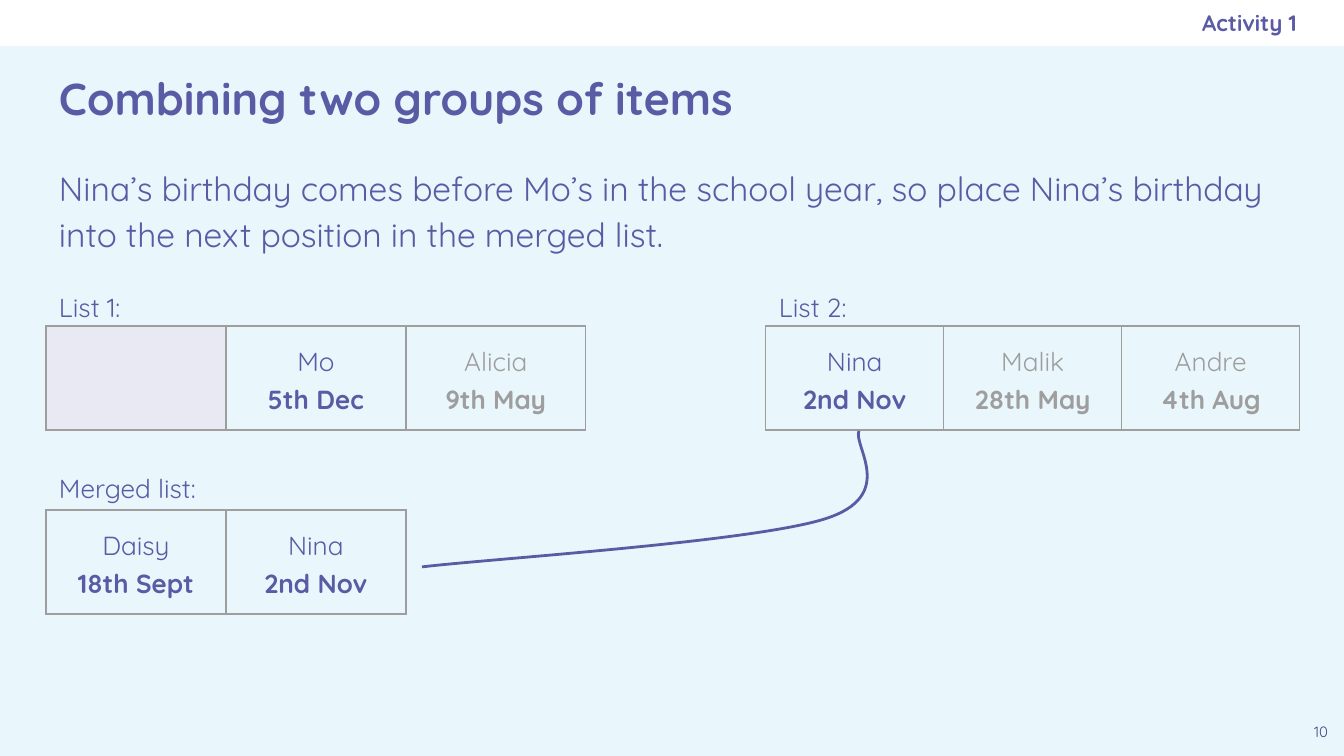
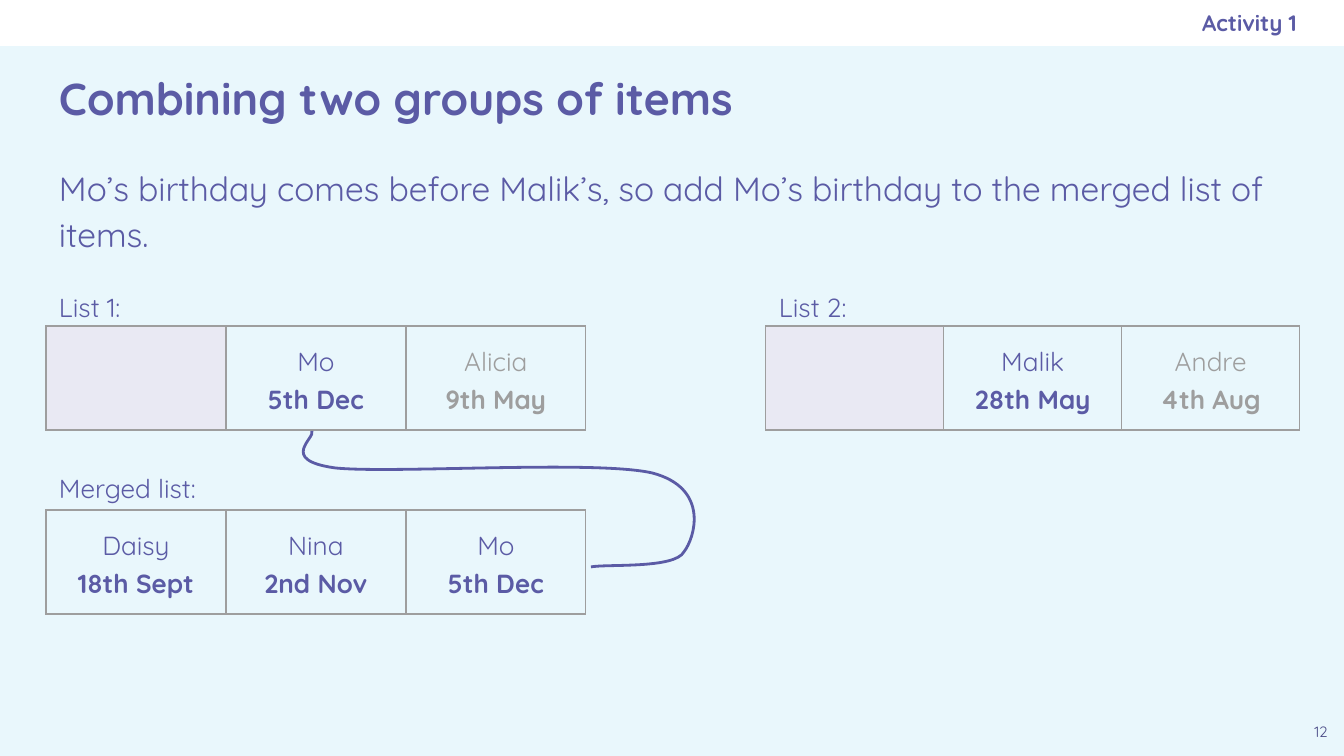
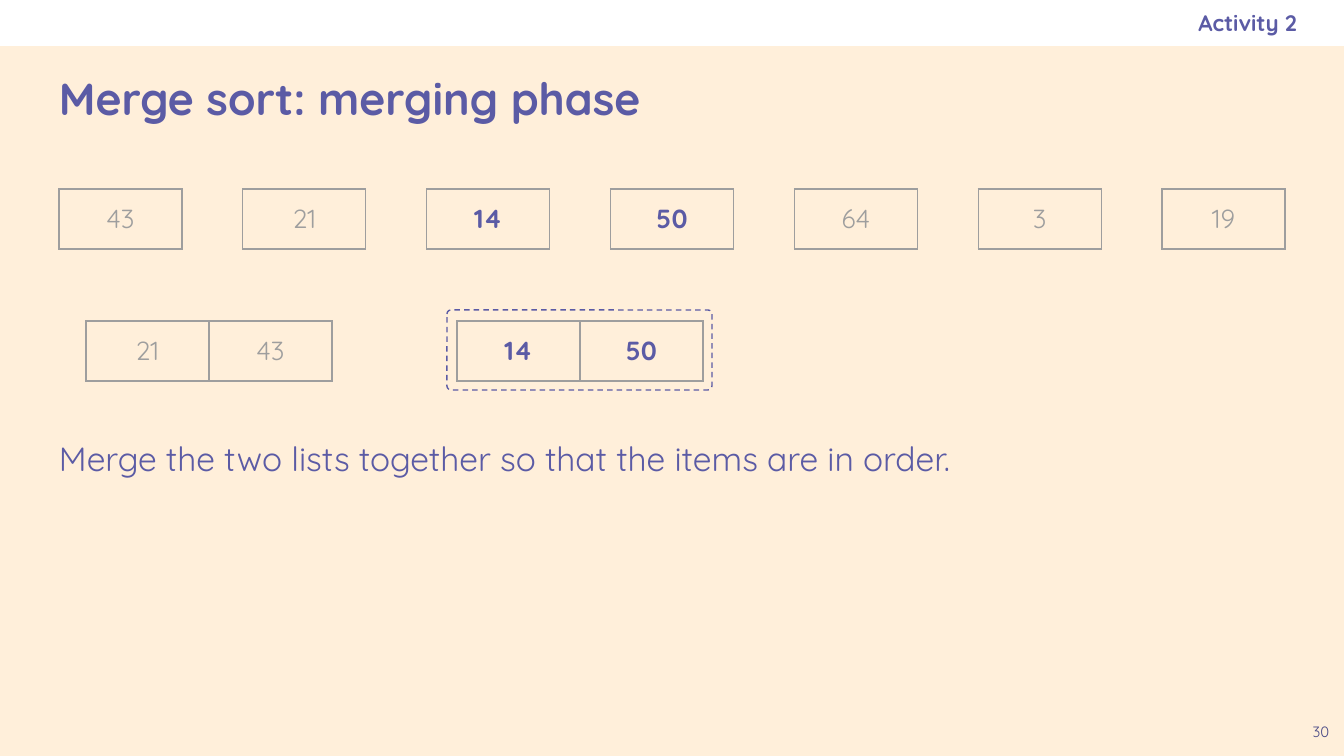
from dataclasses import dataclass

from lxml import etree
from pptx import Presentation
from pptx import util as u
from pptx.dml.color import RGBColor
from pptx.enum import dml, shapes, text
from pptx.oxml.ns import qn

PX = 914400 / 134.4
LEFT, RIGHT = 46, 1299
CONTENT_WIDTH = RIGHT - LEFT
BAND_HEIGHT = 46
LIST_TOP, MERGED_TOP = 326, 510
LIST_COLUMNS = [180] * 4 + [178] * 3
CELL_WIDTH, CELL_HEIGHT = 123, 60
TITLE_AND_BODY, TITLE_AND_FOUR_BODIES = 1, 4
GAP, USED = None, ""
BIRTHDAYS = {
    "Daisy": "18th Sept", "Mo": "5th Dec", "Alicia": "9th May",
    "Nina": "2nd Nov", "Malik": "28th May", "Andre": "4th Aug",
}


@dataclass(frozen=True)
class Theme:
    font: str = "Quicksand"
    ink: str = "5B5BA5"
    number: str = "494985"
    muted: str = "9E9E9E"
    used: str = "E9E9F3"
    band: str = "FFFFFF"
    blue: str = "E9F7FC"
    cream: str = "FFEFDA"
    title_size: int = 24
    body_size: int = 18
    label_size: int = 14
    activity_size: int = 12
    number_size: int = 8
    inset: int = 13


THEME = Theme()
BODY = dict(alignment=text.PP_ALIGN.LEFT, line_spacing=1.15,
            space_before=u.Pt(0), space_after=u.Pt(16))


def px(value):
    return u.Emu(round(value * PX))


def rgb(value):
    return RGBColor.from_string(value)


def apply(target, values):
    for name, value in values.items():
        setattr(target, name, value)


def place(shape, left, top, width, height):
    apply(shape, dict(left=px(left), top=px(top), width=px(width), height=px(height)))


def paint(fill, color=None):
    if color:
        fill.solid()
        fill.fore_color.rgb = rgb(color)
    else:
        fill.background()


def add_run(paragraph, content, size, color=THEME.ink, bold=False):
    run = paragraph.add_run()
    run.text = content
    apply(run.font, dict(name=THEME.font, size=u.Pt(size), bold=bold))
    run.font.color.rgb = rgb(color)


def set_margins(target, **changes):
    sides = dict.fromkeys(("left", "top", "right", "bottom"), THEME.inset) | changes
    apply(target, {f"margin_{side}": px(value) for side, value in sides.items()})


def write(shape, box, content, size, paragraph_format, anchor=text.MSO_ANCHOR.TOP,
          color=THEME.ink, bold=False, **margins):
    """Place a text shape and give it one unbulleted paragraph."""
    place(shape, *box)
    frame = shape.text_frame
    apply(frame, dict(word_wrap=True, auto_size=text.MSO_AUTO_SIZE.NONE,
                      vertical_anchor=anchor))
    set_margins(frame, **margins)
    paragraph = frame.paragraphs[0]
    properties = paragraph._p.get_or_add_pPr()
    properties.set("marL", "0")
    properties.set("indent", "0")
    etree.SubElement(properties, qn("a:buNone"))
    apply(paragraph, paragraph_format)
    add_run(paragraph, content, size, color, bold)


def add_box(slide):
    return slide.shapes.add_textbox(0, 0, 0, 0)


def add_preset(slide, kind, *box):
    shape = slide.shapes.add_shape(kind, *map(px, box))
    shape.shadow.inherit = False
    return shape


def add_base_slide(presentation, layout, background, activity, title, number):
    slide = presentation.slides.add_slide(presentation.slide_layouts[layout])
    paint(slide.background.fill, background)
    band = add_preset(slide, shapes.MSO_SHAPE.RECTANGLE, 0, 0, 1344, BAND_HEIGHT)
    paint(band.fill, THEME.band)
    band.line.fill.background()
    middle = text.MSO_ANCHOR.MIDDLE
    write(slide.shapes.title, (LEFT, BAND_HEIGHT, CONTENT_WIDTH, 104), title,
          THEME.title_size, dict(alignment=text.PP_ALIGN.LEFT), middle, bold=True)
    write(add_box(slide), (773, 0, 524, BAND_HEIGHT), activity, THEME.activity_size,
          dict(alignment=text.PP_ALIGN.RIGHT), middle, bold=True, right=0)
    write(add_box(slide), (1298, 710, 46, 46), str(number), THEME.number_size,
          dict(alignment=text.PP_ALIGN.CENTER), color=THEME.number)
    return slide


def set_borders(cell, sides):
    """Draw the named sides of a cell and clear the others."""
    properties = cell._tc.get_or_add_tcPr()
    for side in "LRTB":
        line = etree.SubElement(properties, qn(f"a:ln{side}"), w=str(u.Pt(0.75)))
        if side in sides:
            fill = etree.SubElement(line, qn("a:solidFill"))
            etree.SubElement(fill, qn("a:srgbClr"), val=THEME.muted)
        else:
            etree.SubElement(line, qn("a:noFill"))


def add_row(slide, left, top, widths, height):
    """Add a plain one-row table and return its cells."""
    frame = slide.shapes.add_table(1, len(widths), px(left), px(top),
                                   px(sum(widths)), px(height))
    table = frame.table
    apply(table, dict(first_row=False, horz_banding=False))
    table.rows[0].height = px(height)
    for column, width in zip(table.columns, widths):
        column.width = px(width)
    return list(table.rows[0].cells)


def fill_cell(cell, lines, color, line_spacing=1.0, fill=None, sides="LRTB"):
    """Write (text, bold) lines centred in a bordered cell."""
    set_borders(cell, sides)
    paint(cell.fill, fill)
    set_margins(cell)
    cell.vertical_anchor = text.MSO_ANCHOR.MIDDLE
    for index, (content, bold) in enumerate(lines):
        frame = cell.text_frame
        paragraph = frame.add_paragraph() if index else frame.paragraphs[0]
        apply(paragraph, dict(alignment=text.PP_ALIGN.CENTER, line_spacing=line_spacing))
        add_run(paragraph, content, THEME.label_size, color, bold)


def add_birthdays(slide, top, names, active):
    cells = add_row(slide, LEFT, top, LIST_COLUMNS[:len(names)], 104)
    for cell, name in zip(cells, names):
        lines = [(name, False), (BIRTHDAYS[name], True)] if name else []
        fill_cell(cell, lines, THEME.ink if name in active else THEME.muted, 1.15,
                  fill=THEME.used if name == USED else None,
                  sides="LR" if name is GAP else "LRTB")


def add_numbers(slide, left, top, numbers, active):
    cells = add_row(slide, left, top, [CELL_WIDTH] * len(numbers), CELL_HEIGHT)
    for cell, number in zip(cells, numbers):
        fill_cell(cell, [(str(number), active)], THEME.ink if active else THEME.muted)


def add_curve(slide, start, points):
    """Draw Bézier segments; each takes three of the points."""
    builder = slide.shapes.build_freeform(*start, scale=PX)
    builder.add_line_segments(points, close=False)
    curve = builder.convert_to_shape()
    steps = list(curve._element.iter(qn("a:lnTo")))
    for first in range(0, len(steps), 3):
        segment = etree.Element(qn("a:cubicBezTo"))
        steps[first].addprevious(segment)
        for step in steps[first:first + 3]:
            segment.append(step[0])
            step.getparent().remove(step)
    curve.shadow.inherit = False
    curve.fill.background()
    curve.line.color.rgb = rgb(THEME.ink)
    curve.line.width = u.Pt(1.5)


def add_merge_slide(presentation, number, sentence, lists, merged, active, start, points):
    slide = add_base_slide(presentation, TITLE_AND_FOUR_BODIES, THEME.blue,
                           "Activity 1", "Combining two groups of items", number)
    write(slide.placeholders[1], (LEFT, 149, CONTENT_WIDTH, 124), sentence,
          THEME.body_size, BODY)
    labels = [("List 1:", LEFT, 274), ("Merged list:", LEFT, 455),
              ("List 2:", LEFT + sum(LIST_COLUMNS[:4]), 274)]
    for index, (label, left, top) in enumerate(labels, start=2):
        write(slide.placeholders[index], (left, top, 188, 56), label,
              THEME.label_size, BODY)
    add_birthdays(slide, LIST_TOP, lists, active)
    add_birthdays(slide, MERGED_TOP, merged, merged)
    add_curve(slide, start, points)


def add_sort_slide(presentation):
    slide = add_base_slide(presentation, TITLE_AND_BODY, THEME.cream,
                           "Activity 2", "Merge sort: merging phase", 30)
    outline = add_preset(slide, shapes.MSO_SHAPE.ROUNDED_RECTANGLE, 447, 310, 265, 80)
    outline.adjustments[0] = 0.05
    outline.fill.background()
    outline.line.color.rgb = rgb(THEME.ink)
    apply(outline.line, dict(width=u.Pt(0.75), dash_style=dml.MSO_LINE.DASH))

    numbers, first_left, last_left = [43, 21, 14, 50, 64, 3, 19], 59, 1162
    pitch = (last_left - first_left) / (len(numbers) - 1)
    for index, number in enumerate(numbers):
        add_numbers(slide, first_left + index * pitch, 189, [number], number in (14, 50))
    add_numbers(slide, 86, 321, [21, 43], False)
    add_numbers(slide, 457, 321, [14, 50], True)
    write(slide.placeholders[1], (LEFT, 419, CONTENT_WIDTH, 190),
          "Merge the two lists together so that the items are in order.",
          THEME.body_size, BODY)


def main():
    presentation = Presentation()
    apply(presentation, dict(slide_width=px(1344), slide_height=px(756)))
    add_merge_slide(
        presentation, 10,
        "Nina’s birthday comes before Mo’s in the school year, so place Nina’s "
        "birthday into the next position in the merged list.",
        [USED, "Mo", "Alicia", GAP, "Nina", "Malik", "Andre"],
        ["Daisy", "Nina"], ["Mo", "Nina"], (859, 431),
        [(853, 446), (898, 496), (825, 519), (753, 542), (489, 559), (422, 567)])
    add_merge_slide(
        presentation, 12,
        "Mo’s birthday comes before Malik’s, so add Mo’s birthday to the merged "
        "list of items.",
        [USED, "Mo", "Alicia", GAP, USED, "Malik", "Andre"],
        ["Daisy", "Nina", "Mo"], ["Mo", "Malik"], (312, 431),
        [(316, 438), (278, 460), (335, 468), (392, 474), (594, 460), (652, 473),
         (710, 488), (695, 538), (684, 552), (675, 569), (607, 564), (591, 567)])
    add_sort_slide(presentation)
    presentation.save("out.pptx")


if __name__ == "__main__":
    main()
